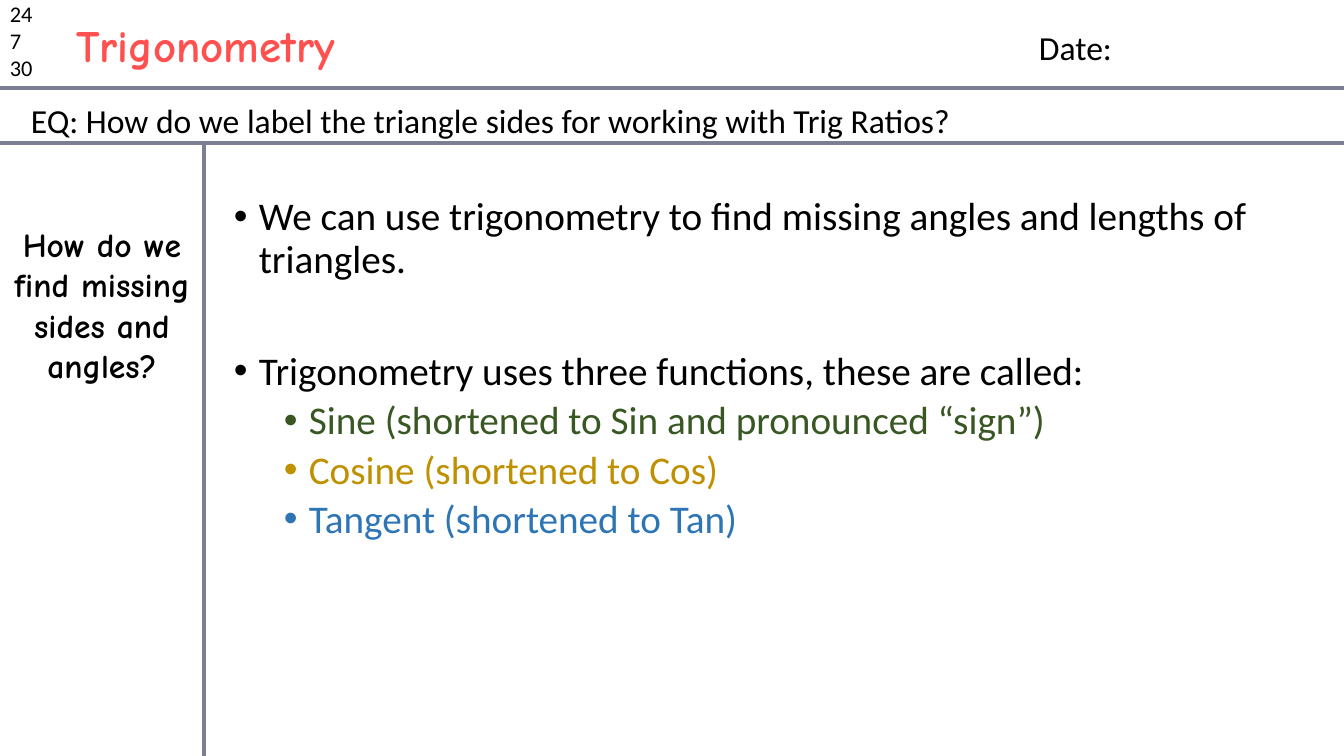
import pptx
import pptx.util
import pptx.dml.color
import pptx.enum.text
import pptx.enum.shapes
import pptx.oxml
import pptx.oxml.ns
from dataclasses import dataclass


@dataclass(frozen=True)
class Theme:
    body: str = "Calibri"
    hand: str = "Comic Neue"
    ink: str = "000000"
    rule: str = "7C7F91"
    title: str = "FF5050"
    sine: str = "385723"
    cosine: str = "BF9000"
    tangent: str = "2E75B6"
    small: int = 16
    text: int = 24
    point: int = 28
    head: int = 32


T = Theme()
WIDE, HIGH = 1344, 756
TOP, MID, SIDE = 88, 143, 204

RULES = [
    (0, TOP, WIDE, TOP),
    (SIDE, MID, SIDE, HIGH),
    (0, MID, WIDE, MID),
]
TITLE = ("Trigonometry", (66, 13, 316, 65))
NOTES = [
    (["24", "7", "30"], (0, -5, 64, 92), T.small, T.body, False),
    (["Date:"], (1029, 22, 238, 50), T.text, T.body, False),
    (["How do we find missing sides and angles?"],
     (0, 219, SIDE, 173), T.text, T.hand, True),
    (["EQ: How do we label the triangle sides for working with Trig Ratios?"],
     (21, 95, 1169, 50), T.text, T.body, False),
]
POINTS = [
    ("We can use trigonometry to find missing angles and lengths of triangles.",
     0, 0, T.ink),
    ("Trigonometry uses three functions, these are called:", 0, 50, T.ink),
    ("Sine (shortened to Sin and pronounced “sign”)", 1, 5, T.sine),
    ("Cosine (shortened to Cos)", 1, 5, T.cosine),
    ("Tangent (shortened to Tan)", 1, 5, T.tangent),
]
LIST = (224, 192, 1102, 367)
INDENT, STEP = 25, 50

Align = pptx.enum.text.PP_ALIGN
Fit = pptx.enum.text.MSO_AUTO_SIZE


def px(n):
    return round(n * 914400 / 100.8)


def rgb(code):
    return pptx.dml.color.RGBColor.from_string(code)


def style(para, size, face, tint, bold=False):
    font = para.font
    font.size = pptx.util.Pt(size)
    font.name = face
    font.color.rgb = rgb(tint)
    font.bold = bold


def rule(slide, ends):
    kind = pptx.enum.shapes.MSO_CONNECTOR.STRAIGHT
    line = slide.shapes.add_connector(kind, *map(px, ends))
    line.line.color.rgb = rgb(T.rule)
    line.line.width = pptx.util.Pt(2.25)
    props = line._element.spPr
    props.append(pptx.oxml.parse_xml(
        "<a:effectLst %s/>" % pptx.oxml.ns.nsdecls("a")))


def box(slide, area, lines, fit):
    frame = slide.shapes.add_textbox(*map(px, area)).text_frame
    frame.word_wrap = True
    frame.auto_size = fit
    frame.text = "\n".join(lines)
    return frame.paragraphs


def bullet(para, level):
    props = para._p.get_or_add_pPr()
    props.set("marL", str(px(INDENT + level * STEP)))
    props.set("indent", str(-px(INDENT)))
    props.append(pptx.oxml.parse_xml(
        '<a:buFont %s typeface="Arial"/>' % pptx.oxml.ns.nsdecls("a")))
    props.append(pptx.oxml.parse_xml(
        '<a:buChar %s char="•"/>' % pptx.oxml.ns.nsdecls("a")))


def main():
    deck = pptx.Presentation()
    deck.slide_width, deck.slide_height = px(WIDE), px(HIGH)
    slide = deck.slides.add_slide(deck.slide_layouts[5])

    for ends in RULES:
        rule(slide, ends)

    words, area = TITLE
    title = slide.shapes.title
    title.left, title.top, title.width, title.height = map(px, area)
    frame = title.text_frame
    frame.text = words
    frame.word_wrap = False
    frame.auto_size = Fit.SHAPE_TO_FIT_TEXT
    frame.vertical_anchor = pptx.enum.text.MSO_ANCHOR.TOP
    frame.paragraphs[0].alignment = Align.LEFT
    style(frame.paragraphs[0], T.head, T.hand, T.title, True)

    for lines, area, size, face, cue in NOTES:
        for para in box(slide, area, lines, Fit.SHAPE_TO_FIT_TEXT):
            para.alignment = Align.CENTER if cue else Align.LEFT
            style(para, size, face, T.ink, cue)

    paras = box(slide, LIST, [item[0] for item in POINTS], Fit.NONE)
    for para, (_, level, gap, tint) in zip(paras, POINTS):
        para.level = level
        para.line_spacing = 0.9
        if gap:
            para.space_before = pptx.util.Pt(gap)
        bullet(para, level)
        style(para, T.point, T.body, tint)

    deck.save("out.pptx")


if __name__ == "__main__":
    main()
